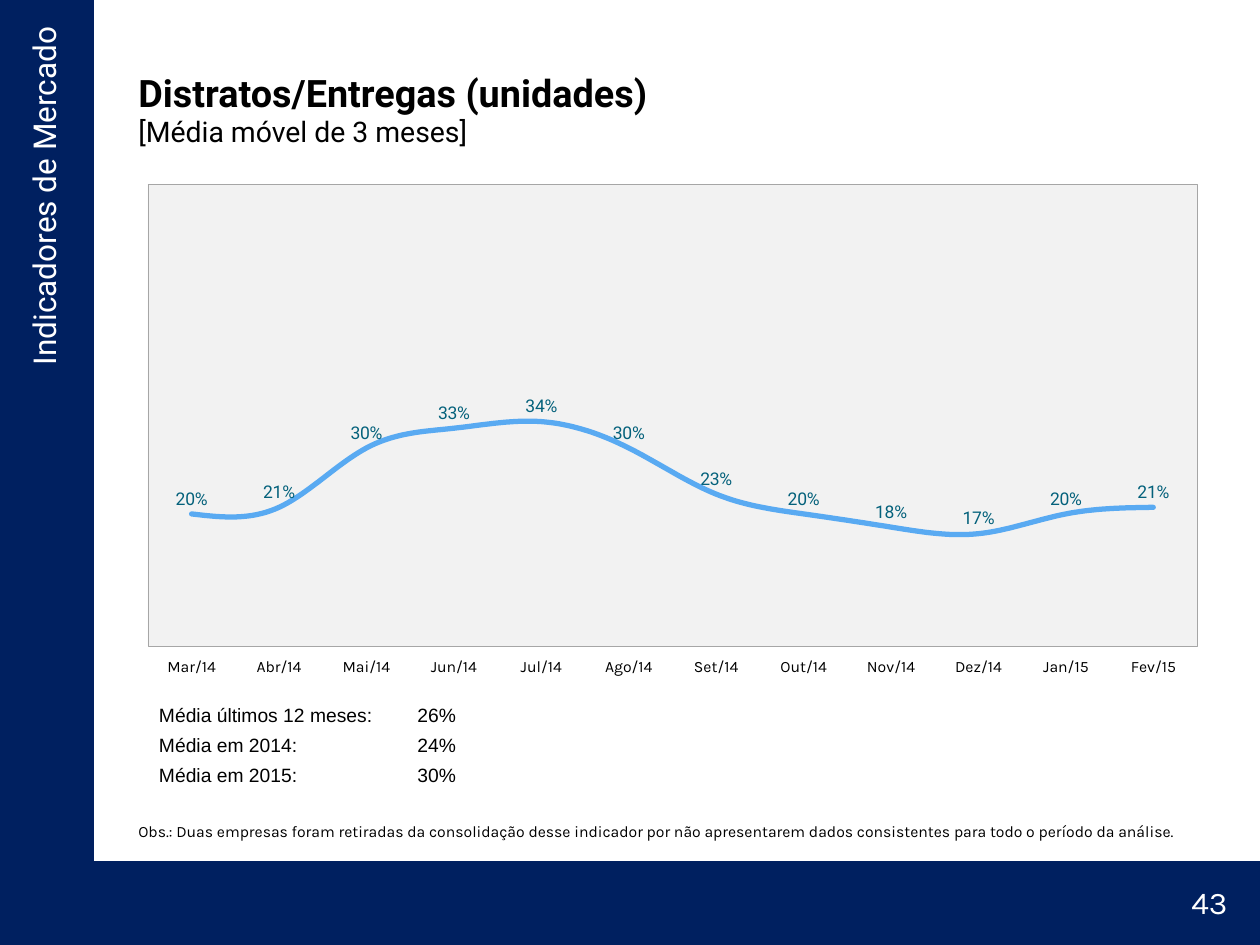
import pptx
import pptx.chart.data
import pptx.dml.color
import pptx.enum.chart
import pptx.enum.shapes
import pptx.enum.text
import pptx.oxml
import pptx.oxml.ns
import pptx.util

RGBColor = pptx.dml.color.RGBColor
Align = pptx.enum.text.PP_ALIGN
Anchor = pptx.enum.text.MSO_ANCHOR

NAVY = RGBColor(0x00, 0x20, 0x60)
WHITE = RGBColor(0xFF, 0xFF, 0xFF)
BLACK = RGBColor(0x00, 0x00, 0x00)
SKY = RGBColor(0x59, 0xAA, 0xF2)
CORAL = RGBColor(0xFF, 0x61, 0x61)
TEAL = RGBColor(0x04, 0x61, 0x7B)
PLOT_FILL = RGBColor(0xF2, 0xF2, 0xF2)
PLOT_LINE = RGBColor(0xA6, 0xA6, 0xA6)

WIDTH, HEIGHT = 1260, 945
FOOTER_TOP = 861
SIDEBAR_WIDTH = 94

MONTHS = ["Mar/14", "Abr/14", "Mai/14", "Jun/14", "Jul/14", "Ago/14",
          "Set/14", "Out/14", "Nov/14", "Dez/14", "Jan/15", "Fev/15"]
RATES = [0.20, 0.21, 0.30, 0.33, 0.34, 0.30, 0.23, 0.20, 0.18, 0.17, 0.20, 0.21]
SERIES = [("Series 1", RATES, SKY, 3),
          ("Series 2", [None] * 10, CORAL, 2.5)]
AVERAGES = [("Média últimos 12 meses:", "26%"),
            ("Média em 2014:", "24%"),
            ("Média em 2015:", "30%")]


def px(length):
    return pptx.util.Emu(round(length * 914400 / 126))


def set_font(font, name, size, color, bold=False):
    font.name, font.size, font.bold = name, pptx.util.Pt(size), bold
    font.color.rgb = color


class SlideBuilder:
    heading_font = "Roboto"
    body_font = "Karla"
    table_font = "Arial"

    def __init__(self, page):
        self.page = page

    def band(self, left, top, width, height):
        shape = self.page.shapes.add_shape(
            pptx.enum.shapes.MSO_SHAPE.RECTANGLE,
            px(left), px(top), px(width), px(height))
        shape.shadow.inherit = False
        shape.fill.solid()
        shape.fill.fore_color.rgb = NAVY
        shape.line.fill.background()

    def text_box(self, left, top, width, height):
        box = self.page.shapes.add_textbox(px(left), px(top), px(width), px(height))
        box.text_frame.word_wrap = True
        return box

    def text(self, frame, words, font, size, color, align=Align.LEFT):
        para = frame.paragraphs[0]
        para.text, para.alignment = words, align
        set_font(para.font, font, size, color)

    def title(self, frame, heading, subheading):
        frame.vertical_anchor = Anchor.MIDDLE
        para = frame.paragraphs[0]
        span = para.add_run()
        span.text = heading
        set_font(span.font, self.heading_font, 21.6, BLACK, bold=True)
        para.add_line_break()
        span = para.add_run()
        span.text = subheading
        set_font(span.font, self.heading_font, 16.2, BLACK)

    def line_chart(self, left, top, width, height, categories, series):
        data = pptx.chart.data.CategoryChartData(number_format="0%")
        data.categories = categories
        for name, values, _, _ in series:
            data.add_series(name, values)
        chart = self.page.shapes.add_chart(
            pptx.enum.chart.XL_CHART_TYPE.LINE,
            px(left), px(top), px(width), px(height), data).chart
        chart.has_legend = chart.has_title = False
        set_font(chart.font, self.body_font, 10, BLACK)

        months = chart.category_axis
        months.format.line.fill.background()
        set_font(months.tick_labels.font, self.body_font, 9, BLACK)
        rates = chart.value_axis
        rates.minimum_scale, rates.maximum_scale = 0, 0.7
        rates.has_major_gridlines = rates.visible = False

        plot = chart.plots[0]
        plot.vary_by_categories = False
        for line, (_, _, color, weight) in zip(plot.series, series):
            line.smooth = True
            line.format.line.color.rgb = color
            line.format.line.width = pptx.util.Pt(weight)
            for stroke in line._element.iter(pptx.oxml.ns.qn("a:ln")):
                stroke.set("cap", "rnd")
            line.marker.style = pptx.enum.chart.XL_MARKER_STYLE.NONE
        labels = plot.series[0].data_labels
        labels.show_value = True
        labels.number_format, labels.number_format_is_linked = "0%", False
        labels.position = pptx.enum.chart.XL_LABEL_POSITION.ABOVE
        set_font(labels.font, self.heading_font, 10, TEAL)
        self.plot_area(chart, x=0.02, y=0.02, w=0.96, h=0.9)

    def plot_area(self, chart, **place):
        """Fix the inner plot rectangle, in shares of the chart, and colour it."""
        declared = pptx.oxml.ns.nsdecls("c", "a")
        area = chart.plots[0]._element.getparent()
        for old in area.findall(pptx.oxml.ns.qn("c:layout")):
            area.remove(old)
        sizes = "".join(f'<c:{key} val="{share}"/>' for key, share in place.items())
        area.insert(0, pptx.oxml.parse_xml(
            f'<c:layout {declared}><c:manualLayout><c:layoutTarget val="inner"/>'
            f'<c:xMode val="edge"/><c:yMode val="edge"/>{sizes}'
            '</c:manualLayout></c:layout>'))
        area.append(pptx.oxml.parse_xml(
            f'<c:spPr {declared}><a:solidFill><a:srgbClr val="{PLOT_FILL}"/></a:solidFill>'
            f'<a:ln w="3175"><a:solidFill><a:srgbClr val="{PLOT_LINE}"/></a:solidFill></a:ln>'
            '</c:spPr>'))

    def table(self, left, top, widths, row_height, rows):
        table = self.page.shapes.add_table(
            len(rows), len(widths), px(left), px(top),
            px(sum(widths)), px(row_height * len(rows))).table
        table.first_row = table.horz_banding = False
        for column, width in zip(table.columns, widths):
            column.width = px(width)
        for row, words in zip(table.rows, rows):
            row.height = px(row_height)
            for cell, word, align in zip(row.cells, words, (Align.LEFT, Align.RIGHT)):
                cell.fill.background()
                cell.vertical_anchor = Anchor.BOTTOM
                cell.margin_left = cell.margin_right = cell.margin_top = px(1)
                cell.margin_bottom = 0
                self.text(cell.text_frame, word, self.table_font, 11, BLACK, align)


def main():
    deck = pptx.Presentation()
    deck.slide_width, deck.slide_height = px(WIDTH), px(HEIGHT)
    slide = SlideBuilder(deck.slides.add_slide(deck.slide_layouts[6]))

    slide.band(0, FOOTER_TOP, WIDTH, HEIGHT - FOOTER_TOP)
    slide.band(0, 0, SIDEBAR_WIDTH, FOOTER_TOP)
    section = slide.text_box(-322, 355, 731, 50)
    section.rotation = 270
    slide.text(section.text_frame, "Indicadores de Mercado",
               slide.heading_font, 18, WHITE, Align.RIGHT)

    heading = slide.text_box(126, 65, 1071, 88)
    slide.title(heading.text_frame, "Distratos/Entregas (unidades)",
                "[Média móvel de 3 meses]")
    number = slide.text_box(1124, 877, 116, 50)
    slide.text(number.text_frame, "43", slide.body_font, 18, WHITE, Align.RIGHT)
    note = slide.text_box(126, 816, 1071, 31)
    slide.text(note.text_frame,
               "Obs.: Duas empresas foram retiradas da consolidação desse indicador "
               "por não apresentarem dados consistentes para todo o período da análise.",
               slide.body_font, 9, BLACK)

    slide.line_chart(126, 174, 1093, 513, MONTHS, SERIES)
    slide.table(158, 697, (229, 70), 30, AVERAGES)
    deck.save("out.pptx")


if __name__ == "__main__":
    main()
